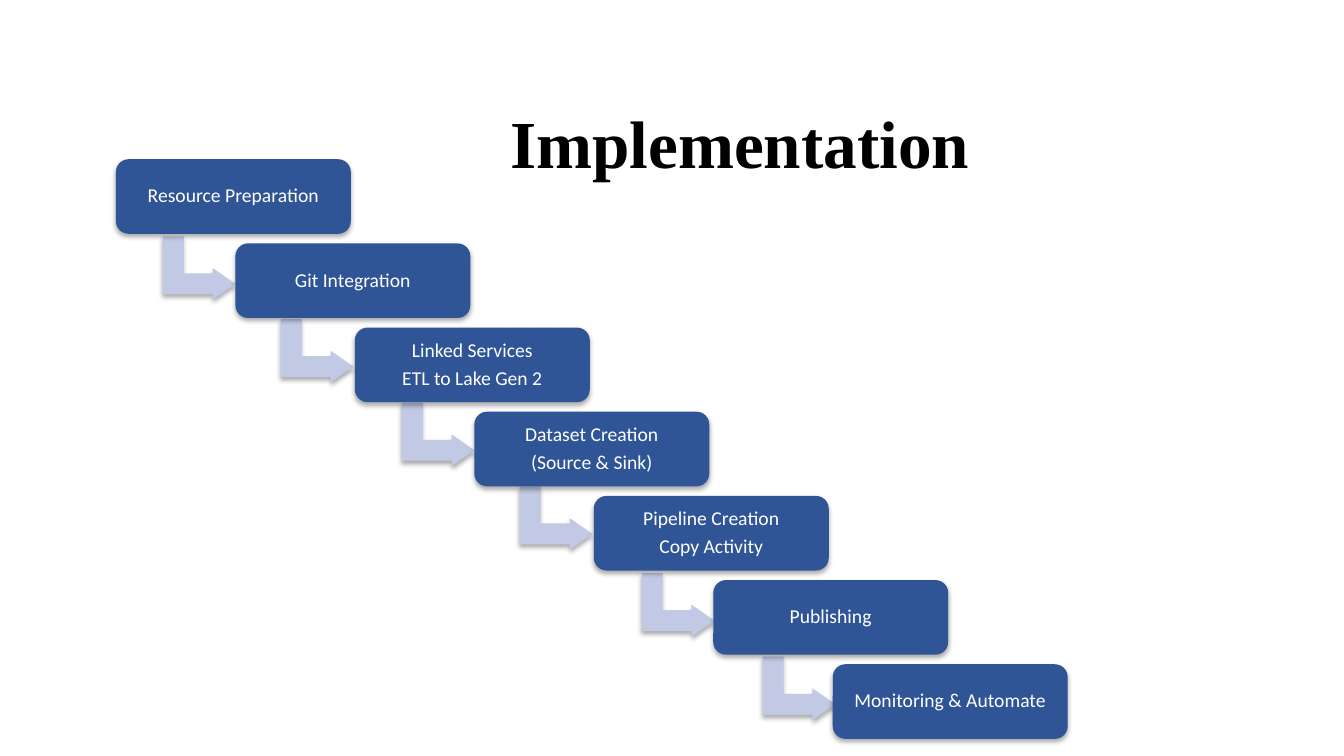
from dataclasses import dataclass

from lxml import etree
from pptx import Presentation
from pptx.dml.color import RGBColor
from pptx.enum.shapes import MSO_SHAPE
from pptx.enum.text import MSO_ANCHOR, MSO_AUTO_SIZE, PP_ALIGN
from pptx.oxml.ns import qn
from pptx.shapes.autoshape import Shape
from pptx.slide import Slide
from pptx.text.text import TextFrame
from pptx.util import Inches, Pt

ROUNDED = MSO_SHAPE.ROUNDED_RECTANGLE
BENT_ARROW = MSO_SHAPE.BENT_UP_ARROW
LEFT, CENTER = PP_ALIGN.LEFT, PP_ALIGN.CENTER
TOP, MIDDLE = MSO_ANCHOR.TOP, MSO_ANCHOR.MIDDLE
FIT_SHAPE = MSO_AUTO_SIZE.SHAPE_TO_FIT_TEXT

TITLE_ONLY = 5
BOX_COLOR, ARROW_COLOR = "2F5597", "C1C9E4"
WHITE, BLACK = "FFFFFF", "000000"
FIRST_LEFT, FIRST_TOP = 1.15, 1.58
LAST_LEFT, LAST_TOP = 8.26, 6.59
BOX_SIZE = (2.33, 0.74)
ARROW_SIZE = (0.63, 0.72)


@dataclass(frozen=True)
class Step:
    label: str
    arrow: tuple[float, float] | None = None


STEPS = [
    Step("Resource Preparation", (1.66, 2.3)),
    Step("Git Integration", (2.83, 3.12)),
    Step("Linked Services\nETL to Lake Gen 2", (4.03, 3.95)),
    Step("Dataset Creation\n(Source & Sink)", (5.2, 4.78)),
    Step("Pipeline Creation\nCopy Activity", (6.41, 5.64)),
    Step("Publishing", (7.61, 6.47)),
    Step("Monitoring & Automate"),
]


def rgb(color: str) -> RGBColor:
    return RGBColor.from_string(color)


def write_text(frame: TextFrame, text: str, *, font: str, size: float, color: str,
               bold: bool = False, align: PP_ALIGN = LEFT, anchor: MSO_ANCHOR = TOP,
               line_spacing: float = 1.0, space_after: float = 0) -> None:
    frame.text = text
    frame.word_wrap = True
    frame.vertical_anchor = anchor
    for paragraph in frame.paragraphs:
        paragraph.alignment = align
        paragraph.line_spacing = line_spacing
        paragraph.space_after = Pt(space_after)
        for run in paragraph.runs:
            run.font.name = font
            run.font.size = Pt(size)
            run.font.bold = bold
            run.font.color.rgb = rgb(color)


def add_shadow(shape: Shape) -> None:
    shape.shadow.inherit = False
    effects = shape.element.spPr.find(qn("a:effectLst"))
    shadow = etree.SubElement(effects, qn("a:outerShdw"), blurRad=str(Pt(3.5)),
                              dist=str(Pt(2.2)), dir="5400000", algn="ctr",
                              rotWithShape="0")
    color = etree.SubElement(shadow, qn("a:srgbClr"), val=BLACK)
    etree.SubElement(color, qn("a:alpha"), val="32000")


def add_block(slide: Slide, kind: MSO_SHAPE, position: tuple[float, float],
              size: tuple[float, float], color: str,
              adjustments: tuple[float, ...]) -> Shape:
    shape = slide.shapes.add_shape(kind, *map(Inches, position + size))
    for index, value in enumerate(adjustments):
        shape.adjustments[index] = value
    shape.fill.solid()
    shape.fill.fore_color.rgb = rgb(color)
    shape.line.fill.background()
    add_shadow(shape)
    return shape


def add_step(slide: Slide, step: Step, index: int) -> None:
    if step.arrow:
        arrow = add_block(slide, BENT_ARROW, step.arrow, ARROW_SIZE, ARROW_COLOR,
                          (0.33, 0.25, 0.36))
        arrow.rotation = 90
    progress = index / (len(STEPS) - 1)
    position = (FIRST_LEFT + progress * (LAST_LEFT - FIRST_LEFT),
                FIRST_TOP + progress * (LAST_TOP - FIRST_TOP))
    box = add_block(slide, ROUNDED, position, BOX_SIZE, BOX_COLOR, (0.17,))
    frame = box.text_frame
    frame.margin_left = frame.margin_right = Inches(0.1)
    frame.margin_top = frame.margin_bottom = Inches(0.06)
    write_text(frame, step.label, font="Calibri", size=14, color=WHITE, align=CENTER,
               anchor=MIDDLE, line_spacing=0.9, space_after=4.9)


def add_title(slide: Slide) -> None:
    title = slide.shapes.title
    title.left, title.top = Inches(4.96), Inches(0.96)
    title.width, title.height = Inches(5.14), Inches(0.91)
    write_text(title.text_frame, "Implementation", font="Times New Roman", size=48,
               color=BLACK, bold=True)
    title.text_frame.auto_size = FIT_SHAPE


def main() -> None:
    """Build the slide with the implementation steps."""
    presentation = Presentation()
    presentation.slide_width = Inches(13.33)
    presentation.slide_height = Inches(7.5)
    slide = presentation.slides.add_slide(presentation.slide_layouts[TITLE_ONLY])
    add_title(slide)
    for index, step in enumerate(STEPS):
        add_step(slide, step, index)
    presentation.save("out.pptx")


if __name__ == "__main__":
    main()
